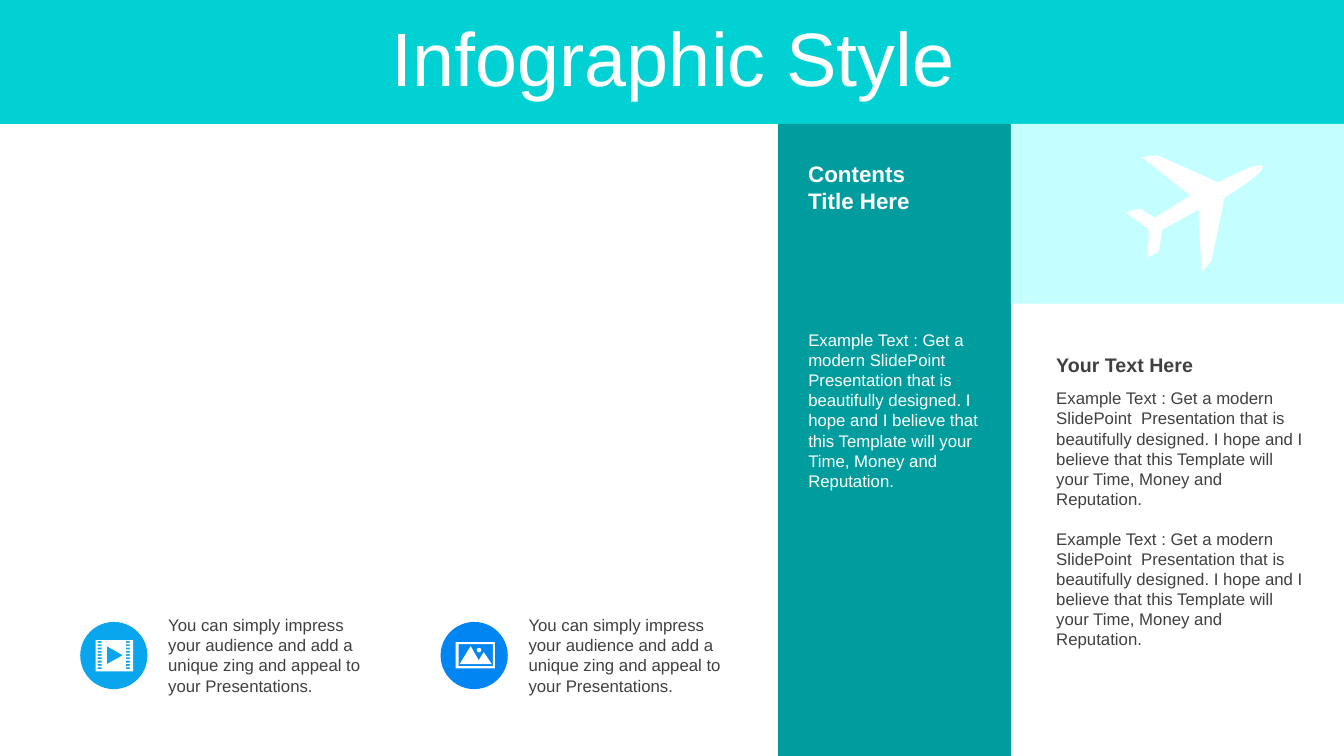
import math
from dataclasses import dataclass

from pptx import Presentation
from pptx import util as u
from pptx.dml.color import RGBColor
from pptx.enum import shapes, text

COLS, ROWS = 160, 90
FINE = 0.12
BANNER_H = 14.76
PANEL_X, PHOTO_X = 92.64, 120.36
ITEM_STEP = 42.9
WHITE, DARK = "FFFFFF", "404040"

Point = tuple[float, float]
Outline = list[Point]

prs = Presentation()
prs.slide_width, prs.slide_height = u.Inches(13.33), u.Inches(7.5)
s = prs.slides.add_slide(prs.slide_layouts[6])


@dataclass
class Box:
    col: float
    row: float
    cols: float
    rows: float

    def emu(self) -> tuple[int, int, int, int]:
        return across(self.col), down(self.row), across(self.cols), down(self.rows)


@dataclass
class Block:
    box: Box
    fill: str
    kind: shapes.MSO_SHAPE = shapes.MSO_SHAPE.RECTANGLE


@dataclass
class Label:
    box: Box
    lines: list[str]
    size: float
    color: str = DARK
    bold: bool = False
    gap: float = 0
    title: bool = False


@dataclass
class Icon:
    col: float
    row: float
    outlines: list[Outline]


def across(cols: float) -> int:
    return round(prs.slide_width * cols / COLS)


def down(rows: float) -> int:
    return round(prs.slide_height * rows / ROWS)


def rgb(color: str) -> RGBColor:
    return RGBColor.from_string(color)


def paint(sp, color: str) -> None:
    sp.shadow.inherit = False
    sp.fill.solid()
    sp.fill.fore_color.rgb = rgb(color)
    sp.line.fill.background()


def draw_block(block: Block) -> None:
    paint(s.shapes.add_shape(block.kind, *block.box.emu()), block.fill)


def draw_label(label: Label) -> None:
    tf = s.shapes.add_textbox(*label.box.emu()).text_frame
    tf.word_wrap = True
    if label.title:
        tf.vertical_anchor = text.MSO_ANCHOR.MIDDLE
    for i, line in enumerate(label.lines):
        p = tf.paragraphs[0] if i == 0 else tf.add_paragraph()
        p.text = line
        p.font.name = "Arial"
        p.font.size = u.Pt(label.size)
        p.font.bold = label.bold
        p.font.color.rgb = rgb(label.color)
        if label.title:
            p.alignment = text.PP_ALIGN.CENTER
            p.line_spacing = 0.9
        if i and label.gap:
            p.space_before = u.Pt(label.gap)


def draw_icon(icon: Icon) -> None:
    contours = [
        [(across(icon.col + x * FINE), down(icon.row + y * FINE)) for x, y in outline]
        for outline in icon.outlines
    ]
    builder = s.shapes.build_freeform(*contours[0][0])
    for i, points in enumerate(contours):
        if i:
            builder.move_to(*points[0])
        builder.add_line_segments(points[1:], close=True)
    paint(builder.convert_to_shape(), WHITE)


def rect(x: float, y: float, w: float, h: float) -> Outline:
    return [(x, y), (x + w, y), (x + w, y + h), (x, y + h)]


def circle(x: float, y: float, r: float, steps: int = 24) -> Outline:
    angles = [math.tau * i / steps for i in range(steps)]
    return [(x + r * math.cos(a), y + r * math.sin(a)) for a in angles]


def curve(a: Point, b: Point, c: Point, d: Point, steps: int = 10) -> Outline:
    def at(t: float, axis: int) -> float:
        v = 1 - t
        return (v**3 * a[axis] + 3 * v * v * t * b[axis]
                + 3 * v * t * t * c[axis] + t**3 * d[axis])

    return [(at(i / steps, 0), at(i / steps, 1)) for i in range(steps + 1)]


FILM = [
    rect(0, 0, 37, 31),
    [(11, 6), (11, 24), (27, 15)],
    *[rect(x, 1 + 3.25 * i, 4, 1.8) for i in range(9) for x in (2, 30)],
]
LANDSCAPE = [
    rect(0, 0, 39, 26),
    rect(3, 2, 34, 22),
    [(15, 4), (23, 18), (28, 10), (36, 22), (4, 22)],
    circle(23.3, 8, 2.2),
]
PLANE = [[
    (21, 102),
    *curve((23, 78), (22, 73), (22, 73), (18, 70)),
    (0, 57), (14, 53), (29, 62), (64, 40), (16, 2), (31, 0),
    *curve((92, 27), (105, 20), (132, 6), (136, 11)),
    *curve((136, 11), (137, 17), (111, 34), (98, 42)),
    (85, 105), (75, 116), (72, 54),
    *curve((36, 74), (35, 80), (33, 95), (33, 95)),
]]

EXAMPLE = ("Example Text : Get a modern SlidePoint  Presentation that is beautifully "
           "designed. I hope and I believe that this Template will your Time, Money "
           "and Reputation.")
IMPRESS = ("You can simply impress your audience and add a unique zing and appeal to "
           "your Presentations.")
CIRCLE_FILLS = ["0AA6ED", "0085F2"]

BLOCKS = [
    Block(Box(0, 0, COLS, BANNER_H), "01D1D3"),
    Block(Box(PANEL_X, BANNER_H, PHOTO_X - PANEL_X, ROWS - BANNER_H), "019D9E"),
    Block(Box(PHOTO_X, BANNER_H, COLS - PHOTO_X, 21.4), "C4FEFF"),
    *[Block(Box(9.55 + ITEM_STEP * i, 74.04, 8, 8), fill, shapes.MSO_SHAPE.OVAL)
      for i, fill in enumerate(CIRCLE_FILLS)],
]
LABELS = [
    Label(Box(4.2, 2.64, 151.92, 9.48), ["Infographic Style"], 54, WHITE, title=True),
    Label(Box(124.56, 45.6, 31.92, 32.76), [EXAMPLE, EXAMPLE], 12, gap=13.8),
    Label(Box(124.56, 41.4, 31.56, 4.08), ["Your Text Here"], 14, bold=True),
    Label(Box(95.04, 38.64, 23.16, 20.64), [EXAMPLE], 12, WHITE),
    Label(Box(95.04, 18.48, 23.04, 7.68), ["Contents", "Title Here"], 16, WHITE, bold=True),
    *[Label(Box(18.84 + ITEM_STEP * i, 72.6, 27, 10.92), [IMPRESS], 12)
      for i in range(len(CIRCLE_FILLS))],
]
ICONS = [
    Icon(11.4, 76.2, FILM),
    Icon(54.24, 76.44, LANDSCAPE),
    Icon(134.04, 18.48, PLANE),
]


def main() -> None:
    for block in BLOCKS:
        draw_block(block)
    for label in LABELS:
        draw_label(label)
    for icon in ICONS:
        draw_icon(icon)
    prs.save("out.pptx")


if __name__ == "__main__":
    main()
